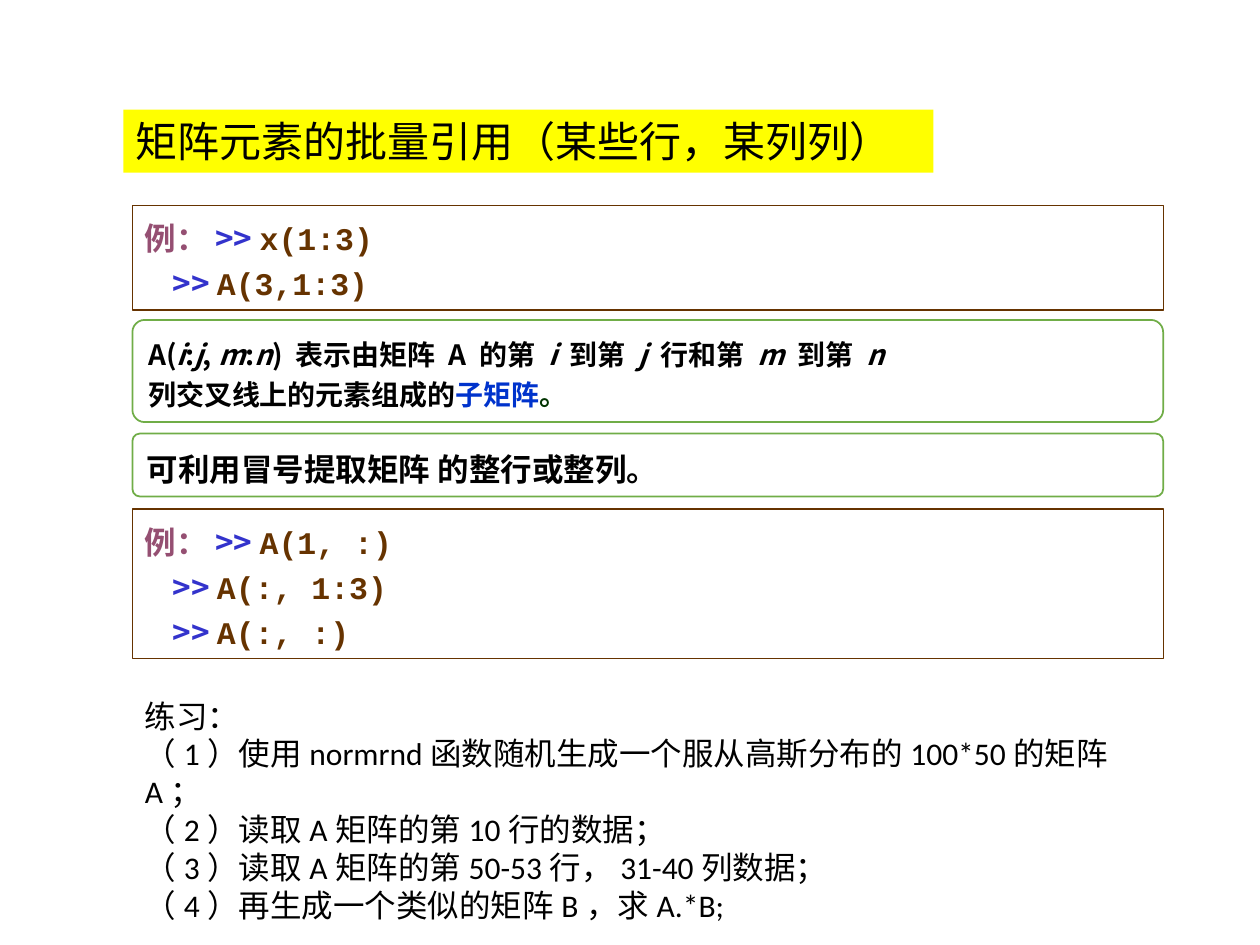
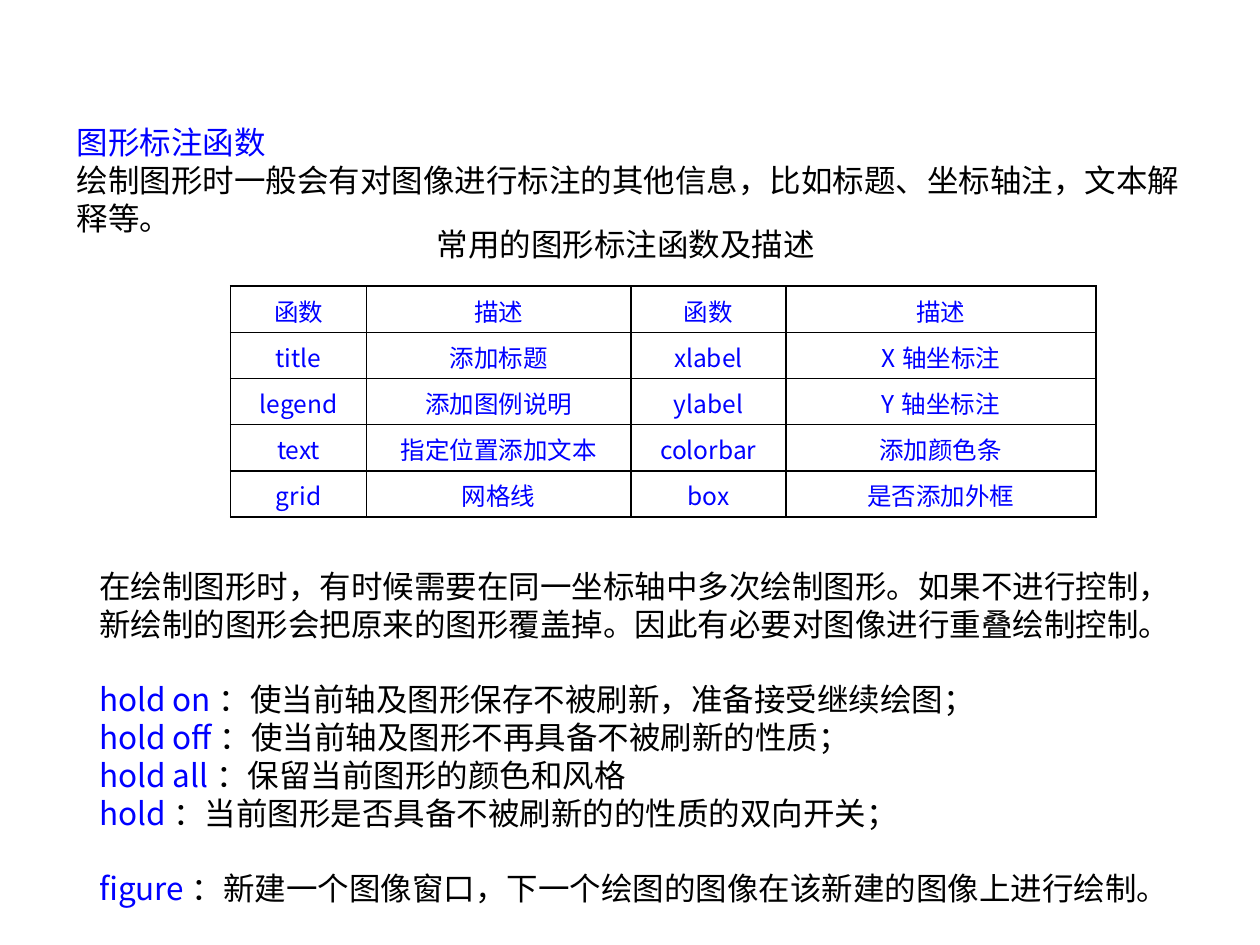
from lxml.etree import SubElement
from pptx import Presentation
from pptx.dml.color import RGBColor as RGB
from pptx.enum.shapes import MSO_SHAPE as SHAPE
from pptx.enum.text import MSO_ANCHOR as ANCHOR, PP_ALIGN as ALIGN
from pptx.oxml.ns import qn
from pptx.util import Cm, Pt

COLORS = {
    "black": "000000", "white": "FFFFFF", "yellow": "FFFF00",
    "brown": "663300", "plum": "954F72", "prompt": "3333CC",
    "green": "70AD47", "link": "0033CC", "dark_green": "003300", "blue": "0000FF",
}
CJK = "Noto Sans CJK SC"

# Text formats; every run starts from size 18, Noto Sans, black.
FORMATS = {
    "plain": {},
    "blue": {"color": "blue"},
    "title": {"size": Pt(24), "name": "Calibri"},
    "exercise": {"name": "Calibri"},
    "label": {"name": "Times New Roman", "color": "plum", "bold": True},
    "prompt": {"color": "prompt", "bold": True},
    "code": {"name": "Courier New", "color": "brown", "bold": True},
    "note": {"name": "Times New Roman", "bold": True},
    "rule": {"size": Pt(16), "bold": True},
    "var": {"size": Pt(16), "bold": True, "italic": True},
    "term": {"size": Pt(16), "bold": True, "color": "link"},
    "stop": {"size": Pt(16), "bold": True, "color": "dark_green"},
    "cell": {"size": Pt(14), "color": "blue"},
}


def rgb(name):
    return RGB.from_string(COLORS[name])


class Deck:
    def __init__(self):
        self.prs = Presentation()
        self.prs.slide_width, self.prs.slide_height = Cm(25.4), Cm(19.05)
        self.slide = None

    def add_slide(self):
        self.slide = self.prs.slides.add_slide(self.prs.slide_layouts[6])

    def add_run(self, p, text, style):
        r = p.add_run()
        r.text = text
        fmt = {"size": Pt(18), "name": CJK, "color": "black", **FORMATS[style]}
        r.font.color.rgb = rgb(fmt.pop("color"))
        for key, value in fmt.items():
            setattr(r.font, key, value)
        rPr = r.font._element
        rPr.set("lang", "zh-CN")
        SubElement(rPr, qn("a:ea")).set("typeface", CJK)

    def fill_text(self, tf, paragraphs, **fmt):
        """Fill a frame; a paragraph is a list of (text, style) runs."""
        for i, runs in enumerate(paragraphs):
            p = tf.add_paragraph() if i else tf.paragraphs[0]
            for key, value in {"alignment": ALIGN.LEFT, **fmt}.items():
                setattr(p, key, value)
            for text, style in runs:
                self.add_run(p, text, style)
        return tf.paragraphs

    def box(self, at, paragraphs, kind=SHAPE.RECTANGLE, fill=None, line=None,
            width=0.75, anchor=ANCHOR.TOP, **fmt):
        sp = self.slide.shapes.add_shape(kind, *map(Cm, at))
        sp.shadow.inherit = False
        if kind == SHAPE.ROUNDED_RECTANGLE:
            sp.adjustments[0] = 0.12
        if fill:
            sp.fill.solid()
            sp.fill.fore_color.rgb = rgb(fill)
        else:
            sp.fill.background()
        if line:
            sp.line.color.rgb = rgb(line)
            sp.line.width = Pt(width)
        else:
            sp.line.fill.background()
        sp.text_frame.word_wrap = True
        sp.text_frame.vertical_anchor = anchor
        return self.fill_text(sp.text_frame, paragraphs, **fmt)

    def code_box(self, top, height, commands):
        """Framed example: a label, then one prompt per command."""
        lines = [[(">> ", "prompt"), (c, "code")] for c in commands]
        lines[0].insert(0, ("例：", "label"))
        at = (2.67, top, 20.78, height)
        for p in self.box(at, lines, line="brown", line_spacing=1.2)[1:]:
            p._p.get_or_add_pPr().set("marL", str(Cm(0.56)))

    def note_box(self, top, height, paragraphs):
        self.box((2.67, top, 20.78, height), paragraphs, SHAPE.ROUNDED_RECTANGLE,
                 "white", "green", 1, ANCHOR.MIDDLE, line_spacing=1.2)

    def text(self, at, paragraphs, wrap=True):
        sp = self.slide.shapes.add_textbox(*map(Cm, at))
        sp.text_frame.word_wrap = wrap
        self.fill_text(sp.text_frame, paragraphs)

    def cell_borders(self, cell):
        tcPr = cell._tc.get_or_add_tcPr()
        for i, side in enumerate(("lnL", "lnR", "lnT", "lnB")):
            ln = tcPr.makeelement(qn(f"a:{side}"), {"w": str(Pt(1))})
            fill = SubElement(ln, qn("a:solidFill"))
            SubElement(fill, qn("a:srgbClr")).set("val", COLORS["black"])
            tcPr.insert(i, ln)

    def table(self, left, top, widths, row_height, rows):
        size = (sum(widths), row_height * len(rows))
        table = self.slide.shapes.add_table(
            len(rows), len(widths), *map(Cm, (left, top, *size))).table
        table.first_row = table.horz_banding = False
        for col, width in zip(table.columns, widths):
            col.width = Cm(width)
        for row, texts in zip(table.rows, rows):
            row.height = Cm(row_height)
            for cell, text in zip(row.cells, texts):
                cell.fill.background()
                self.cell_borders(cell)
                self.fill_text(cell.text_frame, [[(text, "cell")]], alignment=ALIGN.CENTER)


def matrix_slide(deck):
    deck.add_slide()
    deck.code_box(4.14, 2.11, ["x(1:3)", "A(3,1:3)"])
    pieces = ["A(", "i", ":", "j", ", ", "m", ":", "n", ") 表示由矩阵 A 的第 ",
              "i ", "到第 ", "j ", "行和第 ", "m ", "到第 ", "n"]
    submatrix = [(t, "var" if i % 2 else "rule") for i, t in enumerate(pieces)]
    deck.note_box(6.45, 2.06, [
        submatrix,
        [("列交叉线上的元素组成的", "rule"), ("子矩阵", "term"), ("。", "stop")],
    ])
    deck.note_box(8.74, 1.27, [[("可利用冒号提取矩阵 的整行或整列。", "note")]])
    deck.code_box(10.26, 3.02, ["A(1, :)", "A(:, 1:3)", "A(:, :)"])
    deck.box((2.49, 2.21, 16.33, 1.27),
             [[("矩阵元素的批量引用（某些行，某列列）", "title")]], fill="yellow")
    exercises = [
        "练习：",
        "（1）使用normrnd函数随机生成一个服从高斯分布的100*50的矩阵A；",
        "（2）读取A矩阵的第10行的数据；",
        "（3）读取A矩阵的第50-53行，31-40列数据；",
        "（4）再生成一个类似的矩阵B，求A.*B;",
    ]
    deck.box((2.67, 13.92, 20.14, 4.11),
             [[(t, "exercise")] for t in exercises], fill="white")


def annotation_slide(deck):
    deck.add_slide()
    deck.text((1.3, 2.36, 23.19, 2.57), [
        [("图形标注函数", "blue")],
        [("绘制图形时一般会有对图像进行标注的其他信息，比如标题、坐标轴注，文本解释等。", "plain")],
    ])
    deck.text((8.56, 4.42, 8.2, 1.02), [[("常用的图形标注函数及描述", "plain")]], wrap=False)
    deck.table(4.65, 5.77, [2.74, 5.33, 3.12, 6.25], 0.93, [
        ["函数", "描述"] * 2,
        ["title", "添加标题", "xlabel", "X轴坐标注"],
        ["legend", "添加图例说明", "ylabel", "Y轴坐标注"],
        ["text", "指定位置添加文本", "colorbar", "添加颜色条"],
        ["grid", "网格线", "box", "是否添加外框"],
    ])
    commands = {
        "hold on": "使当前轴及图形保存不被刷新，准备接受继续绘图；",
        "hold off": "使当前轴及图形不再具备不被刷新的性质；",
        "hold all": "保留当前图形的颜色和风格",
        "hold": "当前图形是否具备不被刷新的的性质的双向开关；",
        "figure": "新建一个图像窗口，下一个绘图的图像在该新建的图像上进行绘制。",
    }
    intro = ("在绘制图形时，有时候需要在同一坐标轴中多次绘制图形。如果不进行控制，"
             "新绘制的图形会把原来的图形覆盖掉。因此有必要对图像进行重叠绘制控制。")
    lines = [[(name, "blue"), ("：" + use, "plain")] for name, use in commands.items()]
    paragraphs = deck.box((1.75, 11.3, 22.3, 7.19), [[(intro, "plain")], *lines], fill="white")
    for p in (paragraphs[1], paragraphs[-1]):
        p.space_before = Pt(21.7)


def main():
    deck = Deck()
    matrix_slide(deck)
    annotation_slide(deck)
    deck.prs.save("out.pptx")


if __name__ == "__main__":
    main()
